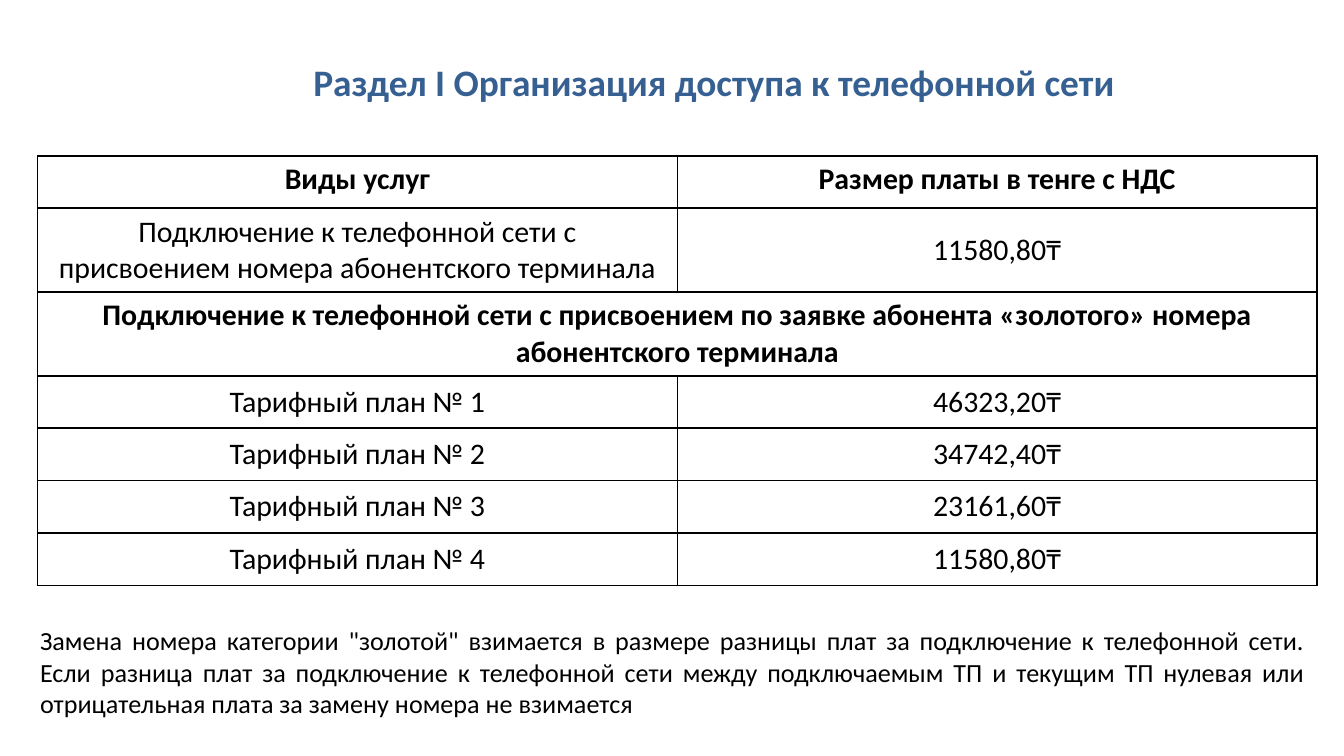
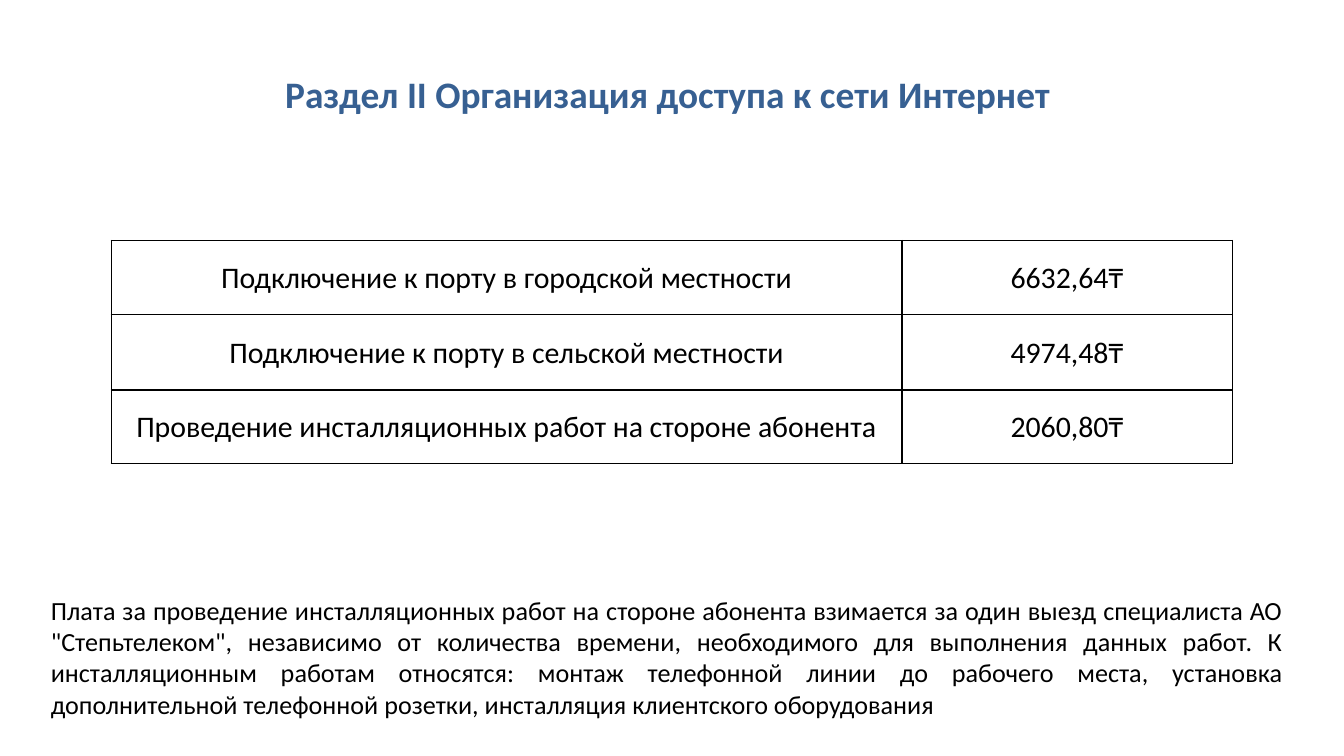
from lxml import etree
from pptx import Presentation
from pptx.dml.color import RGBColor
from pptx.enum import text as t
from pptx.oxml import ns
from pptx.util import Inches, Pt

# Shared look
FONT = "Calibri"
BLUE, BLACK = "376092", "000000"
TITLE_SIZE, TABLE_SIZE, NOTE_SIZE = 20, 16, 14
CENTER, JUSTIFY = t.PP_ALIGN.CENTER, t.PP_ALIGN.JUSTIFY
TOP, MIDDLE = t.MSO_ANCHOR.TOP, t.MSO_ANCHOR.MIDDLE

# Content: a row with a single text spans the whole table; "bold" lists heading rows
PAGES = [
    {
        "title": "Раздел I Организация доступа к телефонной сети ",
        "title_at": (1.19, 0.21, 8.31, 0.8),
        "rows": [
            ("Виды услуг", "Размер платы в тенге с НДС"),
            ("Подключение к телефонной сети с присвоением номера "
             "абонентского терминала", "11580,80₸"),
            ("Подключение к телефонной сети с присвоением по заявке абонента "
             "«золотого» номера абонентского терминала",),
            ("Тарифный план № 1", "46323,20₸"),
            ("Тарифный план № 2", "34742,40₸"),
            ("Тарифный план № 3", "23161,60₸"),
            ("Тарифный план № 4", "11580,80₸"),
        ],
        "bold": (0, 2),
        "table_at": (0.28, 1.16),
        "widths": (4.76, 4.76),
        "heights": (0.39, 0.53, 0.53, 0.39, 0.39, 0.39, 0.39),
        "insets": (0.1, 0.04, 0.1, 0.04),
        "note": "Замена номера категории \"золотой\" взимается в размере разницы "
                "плат за подключение к телефонной сети. Если разница плат за "
                "подключение к телефонной сети между подключаемым ТП и текущим ТП "
                "нулевая или отрицательная плата за замену номера не взимается",
        "note_at": (0.2, 4.6, 9.61, 0.81),
    },
    {
        "title": "Раздел II Организация доступа к сети Интернет ",
        "title_at": (0.5, 0.23, 9, 0.94),
        "rows": [
            ("Подключение к порту в городской местности", "6632,64₸"),
            ("Подключение к порту в сельской местности", "4974,48₸"),
            ("Проведение инсталляционных работ на стороне абонента", "2060,80₸"),
        ],
        "bold": (),
        "table_at": (0.83, 1.79),
        "widths": (5.88, 2.46),
        "heights": (0.55, 0.56, 0.55),
        "insets": (0.01, 0.01, 0.01, 0),
        "note": "Плата за проведение инсталляционных работ на стороне абонента "
                "взимается за один выезд специалиста АО \"Степьтелеком\", независимо "
                "от количества времени, необходимого для выполнения данных работ. "
                "К инсталляционным работам относятся: монтаж телефонной линии до "
                "рабочего места, установка дополнительной телефонной розетки, "
                "инсталляция клиентского оборудования",
        "note_at": (0.28, 4.37, 9.37, 1.04),
    },
]


def write(frame, words, size, color=BLACK, bold=False, align=CENTER):
    para = frame.paragraphs[0]
    para.alignment = align
    span = para.add_run()
    span.text = words
    span.font.name = FONT
    span.font.size = Pt(size)
    span.font.bold = bold
    span.font.color.rgb = RGBColor.from_string(color)


def place(box, at):
    box.left, box.top, box.width, box.height = map(Inches, at)


def add_borders(cell, color=BLACK, width=1):
    props = cell._tc.get_or_add_tcPr()
    for side in ("lnL", "lnR", "lnT", "lnB"):
        line = etree.SubElement(props, ns.qn("a:" + side), w=str(Pt(width)))
        fill = etree.SubElement(line, ns.qn("a:solidFill"))
        etree.SubElement(fill, ns.qn("a:srgbClr"), val=color)


def add_title(page, words, at):
    title = page.shapes.title
    place(title, at)
    frame = title.text_frame
    frame.word_wrap = True
    frame.auto_size = t.MSO_AUTO_SIZE.NONE
    frame.vertical_anchor = MIDDLE
    write(frame, words, TITLE_SIZE, BLUE, bold=True)


def add_price_table(page, rows, bold, table_at, widths, heights, insets):
    size = (sum(widths), sum(heights))
    table = page.shapes.add_table(len(rows), len(widths),
                                  *map(Inches, table_at + size)).table
    table.first_row = table.horz_banding = False
    for column, width in zip(table.columns, widths):
        column.width = Inches(width)
    for r, (row, height) in enumerate(zip(rows, heights)):
        table.rows[r].height = Inches(height)
        for cell in table.rows[r].cells:
            add_borders(cell)
            cell.fill.background()
            (cell.margin_left, cell.margin_top,
             cell.margin_right, cell.margin_bottom) = map(Inches, insets)
            cell.vertical_anchor = TOP if r in bold else MIDDLE
        if len(row) == 1:
            table.cell(r, 0).merge(table.cell(r, len(widths) - 1))
        for c, words in enumerate(row):
            write(table.cell(r, c).text_frame, words, TABLE_SIZE, bold=r in bold)


def add_note(page, words, at):
    frame = page.shapes.add_textbox(*map(Inches, at)).text_frame
    frame.word_wrap = True
    frame.auto_size = t.MSO_AUTO_SIZE.SHAPE_TO_FIT_TEXT
    write(frame, words, NOTE_SIZE, align=JUSTIFY)


# Build the deck in 16:9
deck = Presentation()
deck.slide_width = Inches(10)
deck.slide_height = deck.slide_width * 9 // 16
title_only = deck.slide_layouts[5]
for item in PAGES:
    page = deck.slides.add_slide(title_only)
    add_title(page, item["title"], item["title_at"])
    add_price_table(page, item["rows"], item["bold"], item["table_at"],
                    item["widths"], item["heights"], item["insets"])
    add_note(page, item["note"], item["note_at"])

deck.save("out.pptx")
